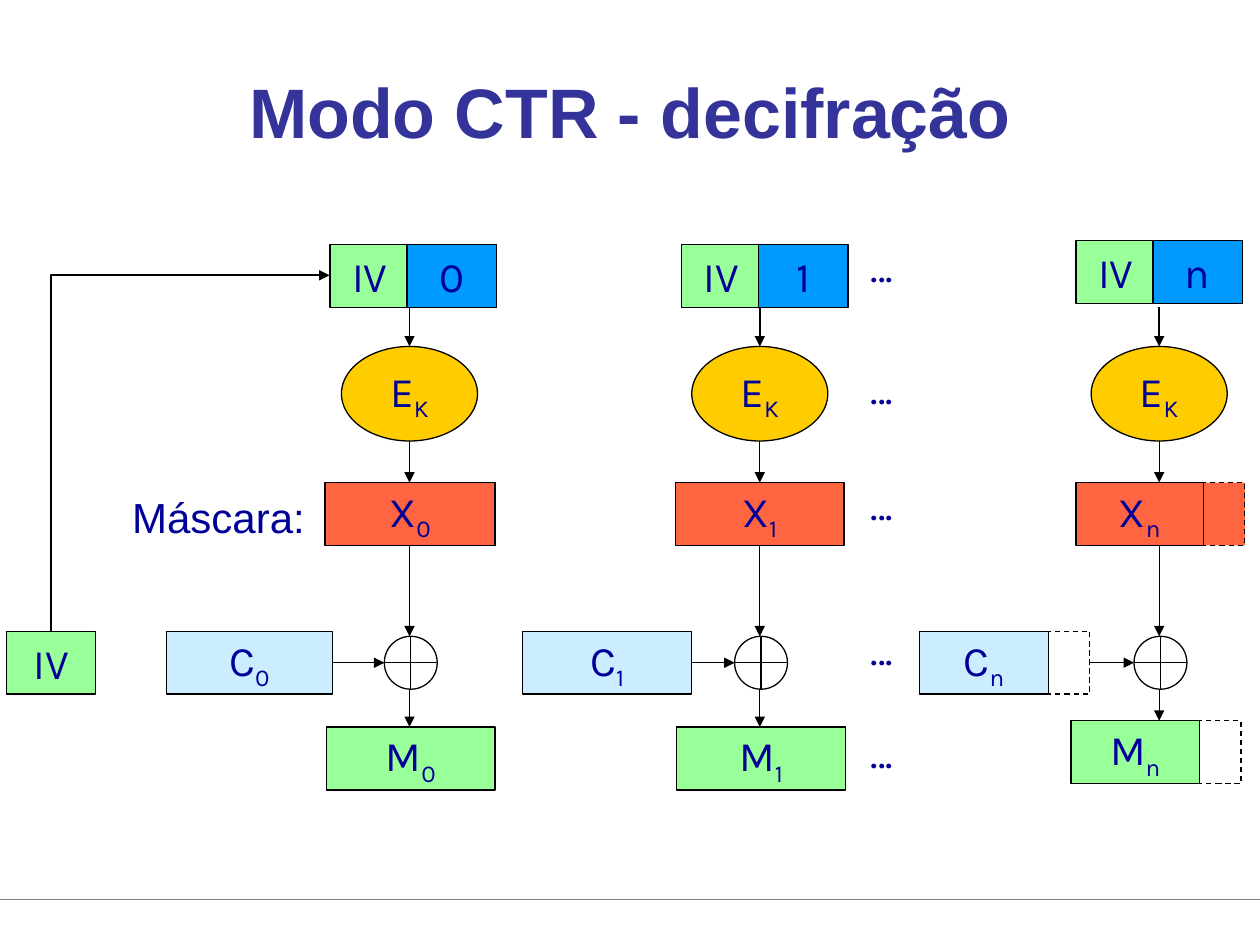
from dataclasses import dataclass

from lxml import etree
from pptx import Presentation
from pptx.dml.color import RGBColor
from pptx.enum import dml, shapes, text
from pptx.oxml.ns import qn
from pptx.util import Inches, Pt

COLORS = {
    "title": "333399", "label": "000099", "outline": "000000", "rule": "808080",
    "iv": "99FF99", "counter": "0099FF", "cipher_fn": "FFCC00",
    "mask": "FF6541", "cipher": "CCECFF", "plain": "99FF99",
}
LABEL_FONT = {"name": "Karla", "size": Pt(24)}
CAPTION_FONT = {"name": "Arial", "size": Pt(24)}
TITLE_FONT = {"name": "Arial", "size": Pt(40), "bold": True}

BOX_H = 0.5
IV_W, COUNTER_W = 0.63, 0.71
COUNTER_OFFSET = 0.61
PADDING_W = 0.33
CIPHER_FN_W, CIPHER_FN_TOP, CIPHER_FN_H = 1.08, 2.75, 0.75
MASK_TOP, CIPHER_TOP = 3.83, 5.01
XOR_TOP, XOR_SIZE = 5.05, 0.42
ELLIPSIS_TOPS = (1.86, 2.83, 3.75, 4.9, 5.72)
RECT = shapes.MSO_SHAPE.RECTANGLE


@dataclass
class Span:
    left: float
    width: float


@dataclass
class Block:
    """One block of the message: its counter, mask, ciphertext and plaintext."""
    index: str
    axis: float
    counter_left: float
    counter_top: float
    mask: Span
    cipher: Span
    plain: Span
    plain_top: float
    padded: bool = False


BLOCKS = [
    Block("0", 3.25, 2.62, 1.94, Span(2.58, 1.35), Span(1.32, 1.32), Span(2.59, 1.34), 5.77),
    Block("1", 6.03, 5.41, 1.94, Span(5.36, 1.34), Span(4.15, 1.34), Span(5.37, 1.34), 5.77),
    Block("n", 9.2, 8.54, 1.91, Span(8.54, 1.01), Span(7.3, 1.02), Span(8.5, 1.02), 5.72, True),
]


def rgb(color: str) -> RGBColor:
    return RGBColor.from_string(COLORS[color])


def add_run(paragraph, words: str, font_values: dict, color: str = "label"):
    run = paragraph.add_run()
    run.text = words
    for attribute, value in font_values.items():
        setattr(run.font, attribute, value)
    run.font.color.rgb = rgb(color)
    return run


def add_node(slide, kind, left: float, top: float, width: float, height: float,
             fill: str | None = None, label: str = "", subscript: str = "",
             dashed: bool = False) -> None:
    node = slide.shapes.add_shape(kind, Inches(left), Inches(top), Inches(width), Inches(height))
    node.shadow.inherit = False
    if fill:
        node.fill.solid()
        node.fill.fore_color.rgb = rgb(fill)
    else:
        node.fill.background()
    node.line.color.rgb = rgb("outline")
    node.line.width = Pt(0.75)
    if dashed:
        node.line.dash_style = dml.MSO_LINE.DASH
    if not label:
        return
    frame = node.text_frame
    frame.word_wrap = False
    frame.vertical_anchor = text.MSO_ANCHOR.MIDDLE
    paragraph = frame.paragraphs[0]
    paragraph.alignment = text.PP_ALIGN.CENTER
    add_run(paragraph, label, LABEL_FONT)
    if subscript:
        lowered = add_run(paragraph, subscript, LABEL_FONT)
        lowered.font._element.set("baseline", "-25000")


def add_line(slide, start: tuple[float, float], end: tuple[float, float], width: float = 0.75,
             color: str = "outline", arrow: bool = True,
             kind=shapes.MSO_CONNECTOR.STRAIGHT):
    line = slide.shapes.add_connector(kind, *(Inches(v) for v in (*start, *end)))
    line.line.color.rgb = rgb(color)
    line.line.width = Pt(width)
    if arrow:
        etree.SubElement(line.line._get_or_add_ln(), qn("a:tailEnd"), type="triangle")
    etree.SubElement(line._element.spPr, qn("a:effectLst"))
    return line


def add_caption(slide, words: str, left: float, top: float, width: float, font_values: dict,
                wrap: bool, alignment, space_before: float = 0) -> None:
    caption = slide.shapes.add_textbox(Inches(left), Inches(top), Inches(width), Inches(BOX_H))
    caption.text_frame.word_wrap = wrap
    paragraph = caption.text_frame.paragraphs[0]
    paragraph.alignment = alignment
    paragraph.space_before = Pt(space_before)
    add_run(paragraph, words, font_values)


def add_data_box(slide, span: Span, top: float, fill: str, letter: str, block: Block,
                 padding_fill: str | None = None) -> float:
    """Draw a data box with its dashed padding, if any, and return the right edge."""
    right = span.left + span.width
    if block.padded:
        add_node(slide, RECT, right, top, PADDING_W, BOX_H, padding_fill, dashed=True)
    add_node(slide, RECT, span.left, top, span.width, BOX_H, fill, letter, block.index)
    return right + PADDING_W if block.padded else right


def add_block(slide, block: Block) -> None:
    add_node(slide, RECT, block.counter_left, block.counter_top, IV_W, BOX_H, "iv", "IV")
    add_node(slide, RECT, block.counter_left + COUNTER_OFFSET, block.counter_top,
             COUNTER_W, BOX_H, "counter", block.index)
    add_node(slide, shapes.MSO_SHAPE.OVAL, block.axis - CIPHER_FN_W / 2, CIPHER_FN_TOP,
             CIPHER_FN_W, CIPHER_FN_H, "cipher_fn", "E", "K")
    add_data_box(slide, block.mask, MASK_TOP, "mask", "X", block, padding_fill="mask")
    cipher_right = add_data_box(slide, block.cipher, CIPHER_TOP, "cipher", "C", block)
    xor_left = block.axis - 0.2
    add_node(slide, shapes.MSO_SHAPE.FLOWCHART_OR, xor_left, XOR_TOP, XOR_SIZE, XOR_SIZE)
    add_data_box(slide, block.plain, block.plain_top, "plain", "M", block)

    add_line(slide, (block.axis, 2.44), (block.axis, CIPHER_FN_TOP), width=1)
    for start, end in ((CIPHER_FN_TOP + CIPHER_FN_H, MASK_TOP),
                       (MASK_TOP + BOX_H, XOR_TOP),
                       (XOR_TOP + XOR_SIZE, block.plain_top)):
        add_line(slide, (block.axis, start), (block.axis, end))
    xor_middle = XOR_TOP + XOR_SIZE / 2
    add_line(slide, (cipher_right, xor_middle), (xor_left, xor_middle))


def add_iv_feed(slide) -> None:
    """Draw the received IV and its elbow arrow up to the first counter."""
    add_node(slide, RECT, 0.05, CIPHER_TOP, COUNTER_W, BOX_H, "iv", "IV")
    feed = add_line(slide, (2.92, 4.7), (0.1, 2.49), width=1, kind=shapes.MSO_CONNECTOR.ELBOW)
    feed.rotation = 90
    feed._element.spPr.find(qn("a:prstGeom")).set("prst", "bentConnector2")


def add_title(slide, words: str) -> None:
    title = slide.shapes.title
    title.left, title.top, title.width, title.height = (
        Inches(v) for v in (0.75, 0.25, 8.5, 1.25))
    title.text_frame.vertical_anchor = text.MSO_ANCHOR.MIDDLE
    paragraph = title.text_frame.paragraphs[0]
    paragraph.alignment = text.PP_ALIGN.CENTER
    add_run(paragraph, words, TITLE_FONT, "title")


def main() -> None:
    deck = Presentation()
    deck.slide_width, deck.slide_height = Inches(10), Inches(7.5)
    slide = deck.slides.add_slide(deck.slide_layouts[5])
    add_line(slide, (0, 7.14), (10, 7.14), color="rule", arrow=False)
    add_title(slide, "Modo CTR - decifração")
    for block in BLOCKS:
        add_block(slide, block)
    add_iv_feed(slide)
    for top in ELLIPSIS_TOPS:
        add_caption(slide, "...", 6.69, top, 0.62, LABEL_FONT, True,
                    text.PP_ALIGN.CENTER, space_before=12)
    add_caption(slide, "Máscara:", 0.95, 3.85, 1.57, CAPTION_FONT, False, text.PP_ALIGN.LEFT)
    deck.save("out.pptx")


if __name__ == "__main__":
    main()
